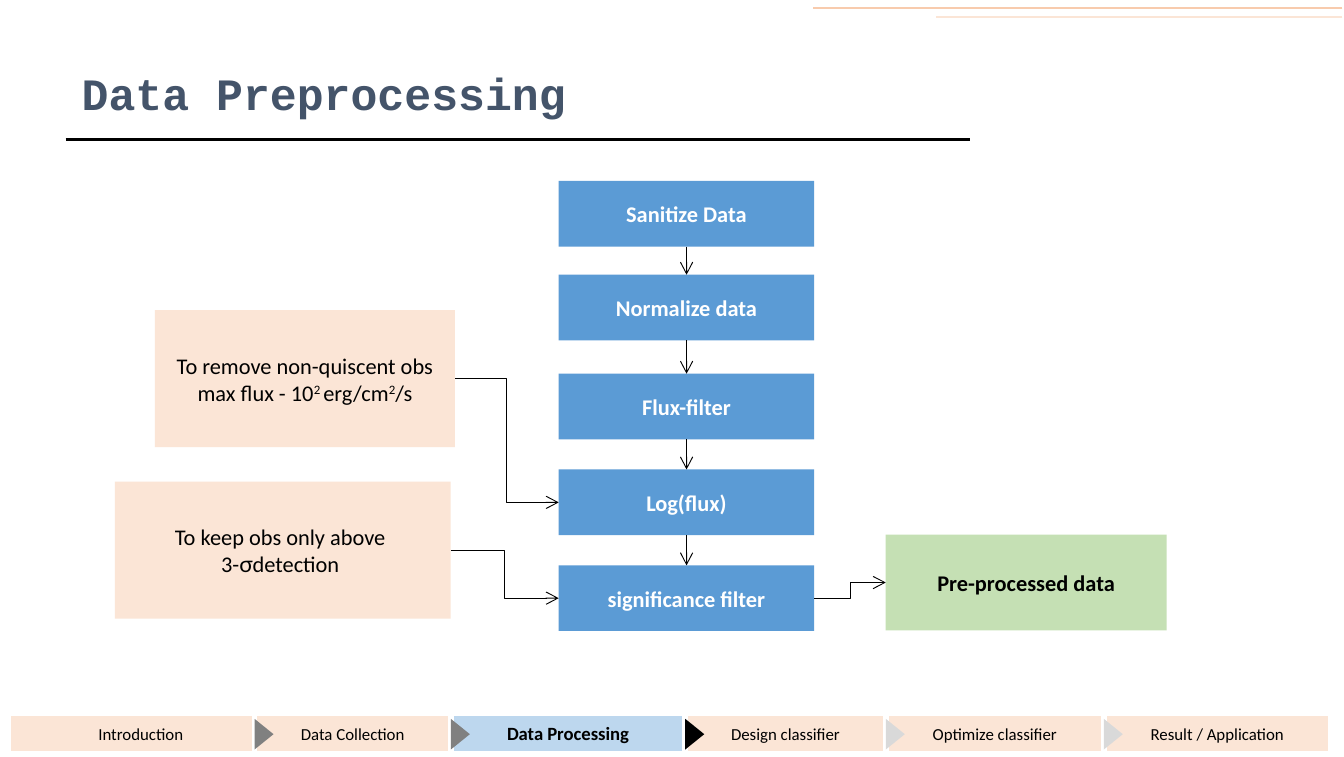
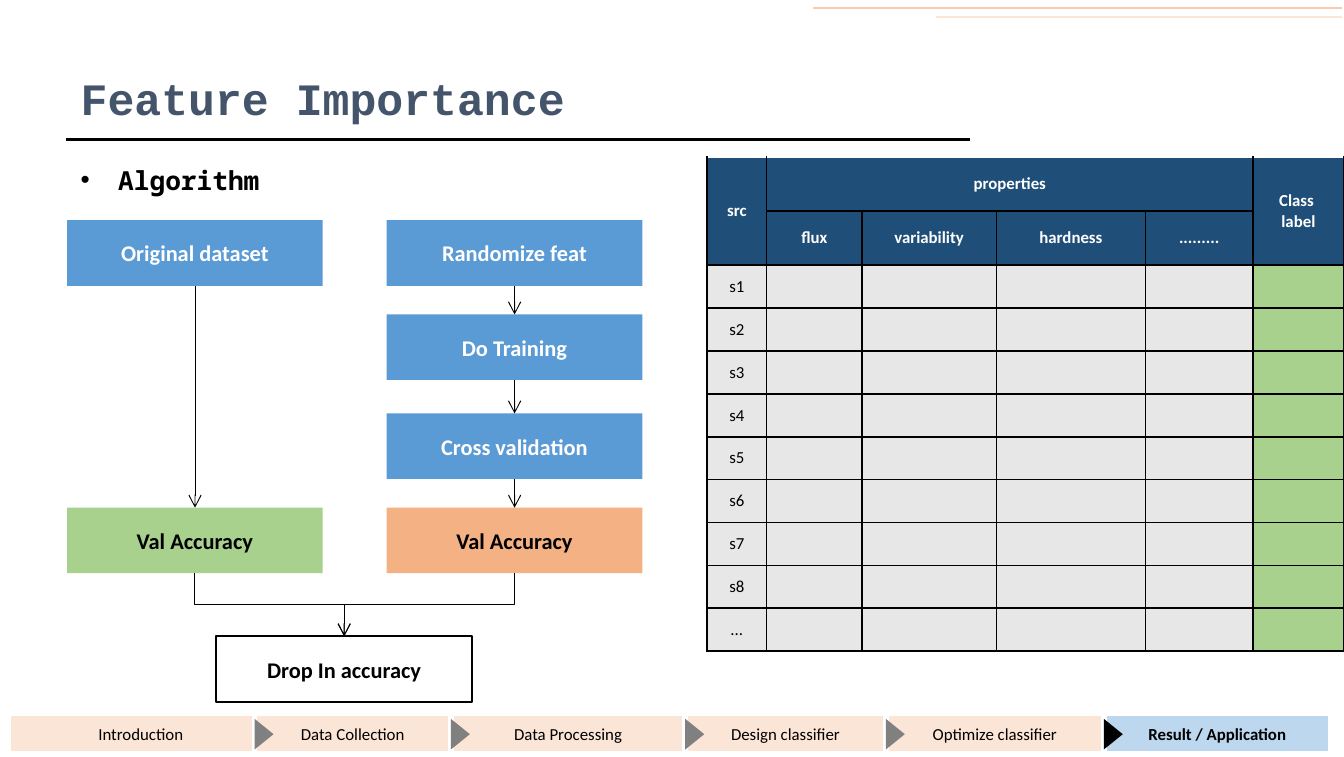
from dataclasses import dataclass
from itertools import pairwise
from typing import NamedTuple, Optional, Union

from lxml.etree import SubElement
from pptx import Presentation
from pptx.dml.color import RGBColor
from pptx.enum.shapes import MSO_CONNECTOR as Link, MSO_SHAPE as Preset
from pptx.enum.text import MSO_ANCHOR as Anchor, MSO_AUTO_SIZE as AutoSize, PP_ALIGN as Align
from pptx.oxml.ns import qn
from pptx.util import Cm, Pt


@dataclass(frozen=True)
class Theme:
    # Colours
    black: str = "000000"
    white: str = "FFFFFF"
    title: str = "44546A"
    step: str = "5B9BD5"
    peach: str = "FBE5D6"
    accent_line: str = "F8CBAD"
    active: str = "BDD7EE"
    result: str = "C5E0B4"
    green: str = "A9D18E"
    orange: str = "F4B183"
    header: str = "1F4E79"
    cell: str = "E7E7E7"
    passed: str = "808080"
    ahead: str = "D9D9D9"
    # Fonts and type sizes
    font: str = "Calibri"
    title_font: str = "Courier New"
    list_font: str = "Noto Sans Mono"
    greek_font: str = "Lato"
    title_size: float = 24
    list_size: float = 14
    box_size: float = 12
    small_size: float = 9
    active_size: float = 10


THEME = Theme()


class Piece(NamedTuple):
    text: str
    raised: bool = False
    font: Optional[str] = None


class Area(NamedTuple):
    """Left, top, width and height in centimetres."""
    left: float
    top: float
    width: float
    height: float


Text = Union[str, list[list[Piece]]]


@dataclass(frozen=True)
class Box:
    text: Text
    area: Area
    fill: Optional[str] = THEME.step
    color: str = THEME.white
    bold: bool = True
    size: float = THEME.box_size
    line: Optional[str] = None
    line_width: float = 1


class Step(NamedTuple):
    name: str
    left: float
    width: float


STEPS = [
    Step("Introduction", 0.16, 5),
    Step("Data Collection", 4.81, 3.71),
    Step("Data Processing", 8.52, 4.43),
    Step("Design classifier", 12.95, 3.79),
    Step("Optimize classifier", 16.74, 4.12),
    Step("Result / Application", 20.86, 4.29),
]
BOX_WIDTH, BOX_HEIGHT = 4.83, 1.24
TOP, LEFT, BOTTOM, RIGHT = range(4)


def rgb(color: str) -> RGBColor:
    return RGBColor.from_string(color)


def write_text(frame, text: Text, *, size: float, color: str = THEME.black, bold: bool = False,
               font: str = THEME.font, align=Align.CENTER, anchor=Anchor.MIDDLE) -> None:
    """Fill a text frame; a plain string has one paragraph a line."""
    frame.word_wrap = True
    frame.vertical_anchor = anchor
    lines = [[Piece(line)] for line in text.split("\n")] if isinstance(text, str) else text
    for index, pieces in enumerate(lines):
        paragraph = frame.add_paragraph() if index else frame.paragraphs[0]
        paragraph.alignment = align
        for piece in pieces:
            run = paragraph.add_run()
            run.text = piece.text
            run.font.name = piece.font or font
            run.font.size = Pt(size)
            run.font.bold = bold
            run.font.color.rgb = rgb(color)
            if piece.raised:
                run._r.get_or_add_rPr().set("baseline", "30000")


def add_preset(slide, preset, area: Area, fill: Optional[str], line: Optional[str] = None,
               line_width: float = 1):
    shape = slide.shapes.add_shape(preset, *map(Cm, area))
    shape.shadow.inherit = False
    if fill:
        shape.fill.solid()
        shape.fill.fore_color.rgb = rgb(fill)
    else:
        shape.fill.background()
    if line:
        shape.line.color.rgb = rgb(line)
        shape.line.width = Pt(line_width)
    else:
        shape.line.fill.background()
    return shape


def add_box(slide, box: Box):
    shape = add_preset(slide, Preset.RECTANGLE, box.area, box.fill, box.line, box.line_width)
    write_text(shape.text_frame, box.text, size=box.size, color=box.color, bold=box.bold)
    return shape


def add_line(slide, kind, start, end, color: str = THEME.black, width: float = 0.5,
             arrow: bool = True):
    connector = slide.shapes.add_connector(kind, *start, *end)
    connector.line.color.rgb = rgb(color)
    connector.line.width = Pt(width)
    properties = connector.element.spPr
    if arrow:
        SubElement(properties.find(qn("a:ln")), qn("a:tailEnd"), type="arrow")
    SubElement(properties, qn("a:effectLst"))
    return connector


def join(slide, source, target, kind=Link.STRAIGHT, sides=(BOTTOM, TOP)) -> None:
    connector = add_line(slide, kind, (0, 0), (0, 0))
    connector.begin_connect(source, sides[0])
    connector.end_connect(target, sides[1])


def join_sideways(slide, source, target) -> None:
    join(slide, source, target, Link.ELBOW, (RIGHT, LEFT))


def drop_elbow(slide, source, target) -> None:
    """Elbow from a bottom side to a top side: a quarter-turned connector."""
    start_x, start_y = source.left + source.width // 2, source.top + source.height
    end_x, end_y = target.left + target.width // 2, target.top
    middle_x, middle_y = (start_x + end_x) // 2, (start_y + end_y) // 2
    half_x, half_y = (end_x - start_x) // 2, (end_y - start_y) // 2
    connector = add_line(slide, Link.ELBOW, (middle_x - half_y, middle_y + half_x),
                         (middle_x + half_y, middle_y - half_x))
    connector.element.spPr.find(qn("a:xfrm")).set("rot", "5400000")


def add_chain(slide, left: float, items: list[tuple[str, float]]) -> list:
    """Stack step boxes and join each to the next."""
    shapes = [add_box(slide, Box(name, Area(left, top, BOX_WIDTH, BOX_HEIGHT)))
              for name, top in items]
    for source, target in pairwise(shapes):
        join(slide, source, target)
    return shapes


def fill_placeholder(placeholder, area: Area, text: str, **text_format) -> None:
    placeholder.left, placeholder.top, placeholder.width, placeholder.height = map(Cm, area)
    placeholder.text_frame.auto_size = AutoSize.NONE
    write_text(placeholder.text_frame, text, bold=True, align=Align.LEFT, **text_format)


def add_progress(slide, active: int, active_size: float) -> None:
    for index, step in enumerate(STEPS):
        current = index == active
        add_box(slide, Box(step.name, Area(step.left, 13.47, step.width, 0.77),
                           fill=THEME.active if current else THEME.peach, color=THEME.black,
                           bold=current, size=active_size if current else THEME.small_size,
                           line=THEME.white, line_width=3))
    marker = min(active + 1, len(STEPS) - 1)
    for index, step in enumerate(STEPS[1:], start=1):
        color = (THEME.passed if index < marker else
                 THEME.black if index == marker else THEME.ahead)
        triangle = add_preset(slide, Preset.ISOSCELES_TRIANGLE,
                              Area(step.left - 0.11, 13.69, 0.58, 0.36), color)
        triangle.rotation = 90


def start_slide(presentation, layout: int, title: str, title_area: Area, active: int,
                active_size: float):
    slide = presentation.slides.add_slide(presentation.slide_layouts[layout])
    fill_placeholder(slide.shapes.title, title_area, title, size=THEME.title_size,
                     color=THEME.title, font=THEME.title_font)
    add_progress(slide, active, active_size)
    return slide


def move_rules_to_master(presentation, slide) -> None:
    """Draw the shared rules once and keep them on the master."""
    for start_x, end_x, y, color, width in [
        (1.24, 18.34, 2.64, THEME.black, 1.5),
        (25.37, 15.37, 0.15, THEME.accent_line, 1),
        (25.37, 17.68, 0.32, THEME.peach, 1),
    ]:
        rule = add_line(slide, Link.STRAIGHT, (Cm(start_x), Cm(y)), (Cm(end_x), Cm(y)),
                        color, width, arrow=False)
        presentation.slide_master.shapes.element.append(rule.element)


def format_cell(cell, fill: str, sides: str) -> None:
    properties = cell._tc.get_or_add_tcPr()
    for side in sides:
        border = SubElement(properties, qn(f"a:ln{side}"), w=str(Pt(1)))
        SubElement(SubElement(border, qn("a:solidFill")), qn("a:srgbClr"), val=THEME.black)
    cell.fill.solid()
    cell.fill.fore_color.rgb = rgb(fill)
    cell.margin_top = cell.margin_bottom = 0


def add_feature_table(slide) -> None:
    widths = [1.13, 1.8, 2.54, 2.82, 2.03, 1.72]
    heights = [1.02] * 2 + [0.81] * 9
    area = Area(13.36, 2.97, sum(widths), sum(heights))
    table = slide.shapes.add_table(len(heights), len(widths), *map(Cm, area)).table
    for column, width in zip(table.columns, widths):
        column.width = Cm(width)
    for row, height in zip(table.rows, heights):
        row.height = Cm(height)
    last = len(widths) - 1
    for r in range(len(heights)):
        for c in range(len(widths)):
            fill = THEME.header if r < 2 else THEME.green if c == last else THEME.cell
            format_cell(table.cell(r, c), fill, "LRTB" if r else "LRB")
    # Merged headings
    for first, end in [((0, 0), (1, 0)), ((0, 1), (0, 4)), ((0, last), (1, last))]:
        table.cell(*first).merge(table.cell(*end))
    headings = {(0, 0): "src", (0, 1): "properties", (0, last): "Class \nlabel"}
    for c, name in enumerate(["flux", "variability", "hardness", "........."], start=1):
        headings[1, c] = name
    for place, name in headings.items():
        cell = table.cell(*place)
        write_text(cell.text_frame, name, size=THEME.small_size, color=THEME.white, bold=True)
        cell.vertical_anchor = Anchor.MIDDLE
    # Source names
    for r, name in enumerate([f"s{number}" for number in range(1, 9)] + ["..."], start=2):
        cell = table.cell(r, 0)
        write_text(cell.text_frame, name, size=THEME.small_size)
        cell.vertical_anchor = Anchor.MIDDLE


def build_preprocessing(presentation) -> None:
    slide = start_slide(presentation, 5, "Data Preprocessing", Area(1.29, 0.56, 18.24, 2.39),
                        2, THEME.active_size)
    move_rules_to_master(presentation, slide)
    # Main chain
    *_, log_flux, significance = add_chain(slide, 10.56, [
        ("Sanitize Data", 3.42), ("Normalize data", 5.19), ("Flux-filter", 7.06),
        ("Log(flux)", 8.87), ("significance filter", 10.68)])
    # Side notes and outcome
    flux_note = [[Piece("To remove non-quiscent obs")],
                 [Piece("max flux - 10"), Piece("2 ", raised=True), Piece("erg/cm"),
                  Piece("2", raised=True), Piece("/s")]]
    sigma_note = [[Piece("To keep obs only above ")],
                  [Piece("3-"), Piece("σ", font=THEME.greek_font), Piece("detection ")]]
    for note, area, target in [(flux_note, Area(2.93, 5.86, 5.67, 2.59), log_flux),
                               (sigma_note, Area(2.17, 9.1, 6.35, 2.59), significance)]:
        shape = add_box(slide, Box(note, area, THEME.peach, THEME.black, bold=False))
        join_sideways(slide, shape, target)
    outcome = add_box(slide, Box("Pre-processed data", Area(16.74, 10.1, 5.31, 1.81),
                                 THEME.result, THEME.black))
    join_sideways(slide, significance, outcome)


def build_importance(presentation) -> None:
    slide = start_slide(presentation, 1, "Feature Importance", Area(1.27, 1.02, 21.46, 1.65),
                        5, THEME.small_size)
    # Bulleted heading
    body = slide.placeholders[1]
    fill_placeholder(body, Area(1.27, 2.97, 11.2, 0.91), "Algorithm", size=THEME.list_size,
                     font=THEME.list_font, anchor=Anchor.TOP)
    paragraph = body.text_frame.paragraphs[0]
    paragraph.space_before = Pt(2)
    properties = paragraph._p.get_or_add_pPr()
    properties.set("marL", str(Cm(0.71)))
    properties.set("indent", str(-Cm(0.71)))
    SubElement(properties, qn("a:buChar"), char="•")

    add_feature_table(slide)
    # Two branches that meet in the accuracy drop
    left, right, top, accuracy_top = 1.27, 7.31, 4.16, 9.59
    drop = add_box(slide, Box("Drop In accuracy", Area(4.09, 12.02, BOX_WIDTH, BOX_HEIGHT),
                              None, THEME.black, line=THEME.black))
    branches = [
        (left, THEME.green, [("Original dataset", top)]),
        (right, THEME.orange, [("Randomize feat", top), ("Do Training", 5.94),
                               ("Cross validation", 7.81)]),
    ]
    for branch_left, fill, items in branches:
        chain = add_chain(slide, branch_left, items)
        accuracy = add_box(slide, Box("Val Accuracy", Area(branch_left, accuracy_top, BOX_WIDTH,
                                                           BOX_HEIGHT), fill, THEME.black))
        join(slide, chain[-1], accuracy)
        drop_elbow(slide, accuracy, drop)


def main() -> None:
    presentation = Presentation()
    presentation.slide_width, presentation.slide_height = Cm(25.4), Cm(14.3)
    build_preprocessing(presentation)
    build_importance(presentation)
    presentation.save("out.pptx")


if __name__ == "__main__":
    main()
